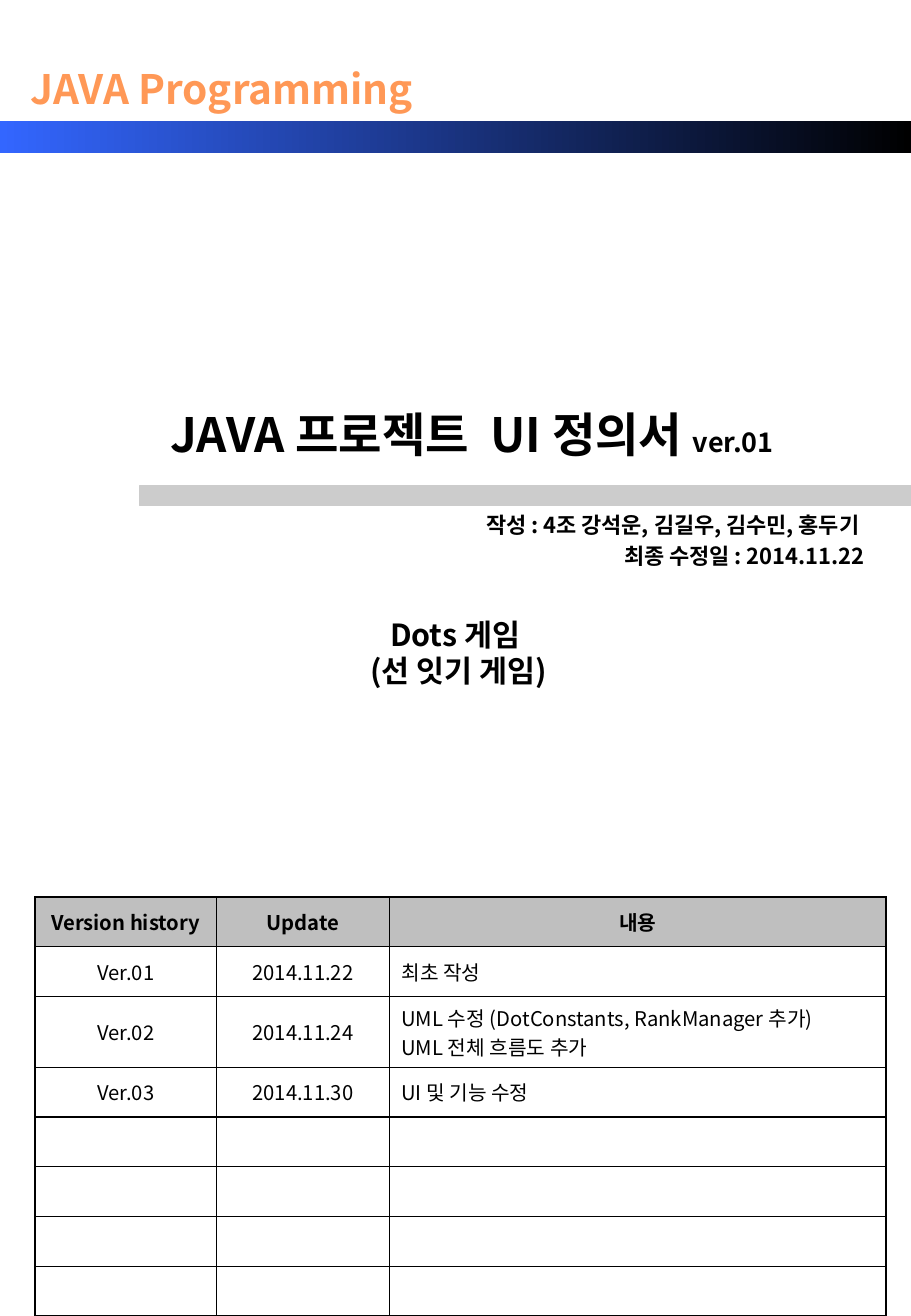
from pptx import Presentation
from pptx.dml.color import RGBColor
from pptx.enum.shapes import MSO_SHAPE
from pptx.enum.text import MSO_ANCHOR, PP_ALIGN
from pptx.oxml import parse_xml
from pptx.oxml.ns import nsdecls
from pptx.util import Cm, Pt

RECT = MSO_SHAPE.RECTANGLE
LEFT, MID, RIGHT = PP_ALIGN.LEFT, PP_ALIGN.CENTER, PP_ALIGN.RIGHT
CENTER = MSO_ANCHOR.MIDDLE
FONT = "Noto Sans CJK KR"
BLACK = RGBColor(0x00, 0x00, 0x00)
WHITE = RGBColor(0xFF, 0xFF, 0xFF)
BLUE = RGBColor(0x33, 0x66, 0xFF)
ORANGE = RGBColor(0xFF, 0x98, 0x56)
SILVER = RGBColor(0xCC, 0xCC, 0xCC)
GRAY = RGBColor(0xBF, 0xBF, 0xBF)

ROWS = [
    ("Version history", "Update", ["내용"]),
    ("Ver.01", "2014.11.22", ["최초 작성"]),
    ("Ver.02", "2014.11.24",
     ["UML 수정 (DotConstants, RankManager 추가)", "UML 전체 흐름도 추가"]),
    ("Ver.03", "2014.11.30", ["UI 및 기능 수정"]),
] + [("", "", [""])] * 4


def add_run(para, text, size, color=BLACK, bold=True):
    """Add one styled run to a paragraph."""
    run = para.add_run()
    run.text = text
    font = run.font
    font.name, font.size, font.bold = FONT, Pt(size), bold
    font.color.rgb = color
    run._r.get_or_add_rPr().append(
        parse_xml(f'<a:ea {nsdecls("a")} typeface="{FONT}"/>'))


def fill_text(frame, lines, align, color=BLACK, bold=True, pitch=None):
    """Write lines, each a list of (text, size) runs, into a frame."""
    for i, line in enumerate(lines):
        para = frame.add_paragraph() if i else frame.paragraphs[0]
        para.alignment = align
        if pitch:
            para.line_spacing = Pt(pitch)
        for text, size in line:
            add_run(para, text, size, color, bold)


def add_box(slide, box, lines, align, wrap=True, **style):
    """Add a text box and return its frame."""
    frame = slide.shapes.add_textbox(*map(Cm, box)).text_frame
    frame.word_wrap = wrap
    fill_text(frame, lines, align, **style)
    return frame


def add_bar(slide, box):
    """Add a plain bar without shadow or line."""
    bar = slide.shapes.add_shape(RECT, *map(Cm, box))
    bar.shadow.inherit = False
    bar.line.fill.background()
    return bar


def add_head(slide, box):
    """Draw the course name above the gradient band."""
    x, y, w, h = box
    band = add_bar(slide, (x, y + 1.3, w, h - 1.3))
    band.fill.gradient()
    band.fill.gradient_angle = 0
    for stop, color in zip(band.fill.gradient_stops, (BLUE, BLACK)):
        stop.color.rgb = color
    add_box(slide, (x + 0.36, y, 8.56, 1.27),
            [[("JAVA Programming", 24)]], MID, False, color=ORANGE)


def add_title(slide, box):
    """Place the title, rule, authors and game name."""
    x, y, w, h = box
    title = [("JAVA 프로젝트  UI 정의서 ", 28), ("ver.01", 16)]
    frame = add_box(slide, (x, y, w, 3.2), [title], MID, pitch=33)
    frame.margin_left = Cm(0.92)
    rule = add_bar(slide, (x + 2.39, y + 1.8, 16.13, 0.41))
    rule.fill.solid()
    rule.fill.fore_color.rgb = SILVER
    rule.line.color.rgb = SILVER
    rule.line.width = Pt(0.75)
    game = [[("Dots 게임 ", 18)], [("(선 잇기 게임)", 18)]]
    add_box(slide, (x + 2.39, y + 4.39, 13.34, h - 4.39), game, MID,
            pitch=21.5)
    team = [[("작성 : 4조 강석운, 김길우, 김수민, 홍두기 ", 13)],
            [("최종 수정일 : 2014.11.22", 13)]]
    frame = add_box(slide, (x + 5.57, y + 2.21, 12.22, 1.6), team, RIGHT,
                    pitch=18.4)
    frame.margin_top = Cm(0.02)


def add_edges(cell):
    """Draw black lines on all sides of a cell."""
    props = cell._tc.get_or_add_tcPr()
    for i, side in enumerate("LRTB"):
        props.insert(i, parse_xml(
            f'<a:ln{side} {nsdecls("a")} w="12700"><a:solidFill>'
            f'<a:srgbClr val="{BLACK}"/></a:solidFill></a:ln{side}>'))


def add_log(slide, box):
    """Build the version history table, with taller rows for longer notes."""
    cols = (3.8, 3.61, 10.39)
    extra = 0.44
    more = sum(len(row[2]) - 1 for row in ROWS)
    base = (box[3] - extra * more) / len(ROWS)
    table = slide.shapes.add_table(len(ROWS), len(cols), *map(Cm, box)).table
    for col, width in zip(table.columns, cols):
        col.width = Cm(width)
    for r, row in enumerate(ROWS):
        ver, date, notes = row
        table.rows[r].height = Cm(base + extra * (len(notes) - 1))
        for c, lines in enumerate(([ver], [date], notes)):
            cell = table.cell(r, c)
            cell.fill.solid()
            cell.fill.fore_color.rgb = WHITE if r else GRAY
            cell.vertical_anchor = CENTER
            add_edges(cell)
            fill_text(cell.text_frame, [[(line, 12)] for line in lines],
                      LEFT if r and c == 2 else MID, bold=r == 0)


def main():
    """Build and save the cover slide."""
    deck = Presentation()
    deck.slide_width, deck.slide_height = Cm(19.05), Cm(27.51)
    slide = deck.slides.add_slide(deck.slide_layouts[6])
    add_head(slide, (0, 1.22, 19.05, 1.97))
    add_title(slide, (0.53, 8.36, 18.01, 6.6))
    add_log(slide, (0.73, 18.75, 17.8, 8.76))
    deck.save("out.pptx")


main()
